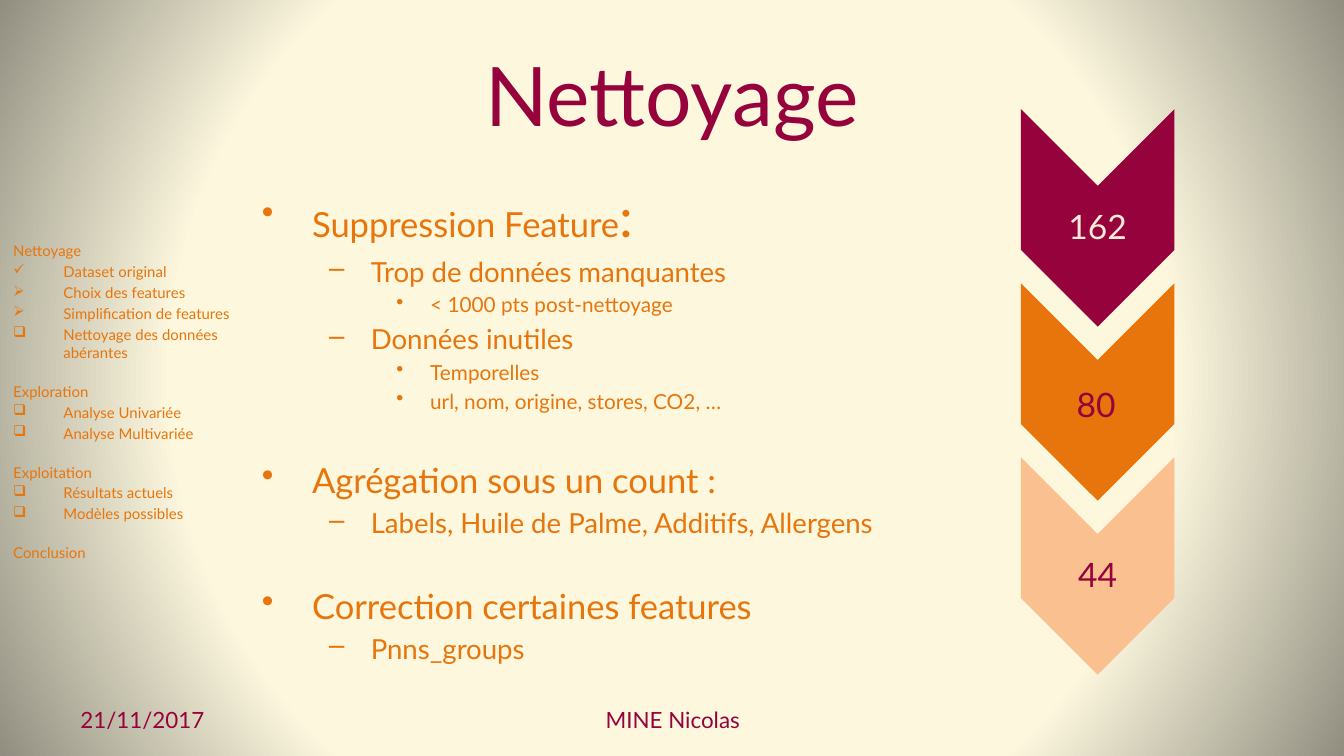
from lxml import etree
from pptx import Presentation
from pptx.dml.color import RGBColor
from pptx.enum.shapes import MSO_SHAPE as Kind
from pptx.enum.text import MSO_ANCHOR as Anchor, PP_ALIGN as Align
from pptx.oxml import parse_xml
from pptx.oxml.ns import qn
from pptx.util import Cm, Pt

WINE = RGBColor(0x95, 0x02, 0x3C)
ORANGE = RGBColor(0xE8, 0x75, 0x0C)
PEACH = RGBColor(0xFA, 0xC0, 0x90)
CREAM = RGBColor(0xFD, 0xEA, 0xDA)
LIGHT = RGBColor(0xFC, 0xF7, 0xDD)
DARK = RGBColor(0x91, 0x8E, 0x81)
FONT = "Lato"

BODY = [
    (0, "Suppression Feature"),
    (1, "Trop de données manquantes"),
    (2, "< 1000 pts post-nettoyage"),
    (1, "Données inutiles"),
    (2, "Temporelles"),
    (2, "url, nom, origine, stores, CO2, …"),
    (0, "Agrégation sous un count :"),
    (1, "Labels, Huile de Palme, Additifs, Allergens"),
    (0, "Correction certaines features"),
    (1, "Pnns_groups"),
]
LEVELS = [("•", 18.5, 0.95, 0.95), ("–", 14.8, 2.06, 0.79), ("•", 11.1, 3.18, 0.64)]
PLAN = [
    ("Nettoyage", [
        ("✓", "Dataset original"),
        ("➢", "Choix des features"),
        ("➢", "Simplification de features"),
        ("❑", "Nettoyage des données abérantes"),
    ]),
    ("Exploration", [("❑", "Analyse Univariée"), ("❑", "Analyse Multivariée")]),
    ("Exploitation", [("❑", "Résultats actuels"), ("❑", "Modèles possibles")]),
    ("Conclusion", []),
]
STEPS = [
    ("162", WINE, CREAM, 19.74, 3.76),
    ("80", ORANGE, WINE, 19.71, 7.14),
    ("44", PEACH, WINE, 19.74, 10.34),
]
LABELS = [
    ("Nettoyage", 44, Align.CENTER, (1.27, 0.58, 22.86, 2.39)),
    ("21/11/2017", 12, Align.LEFT, (1.27, 13.23, 5.92, 0.76)),
    ("MINE Nicolas", 12, Align.CENTER, (8.69, 13.23, 8.05, 0.76)),
]


def style(run, size, color):
    run.font.name = FONT
    run.font.size = Pt(size)
    run.font.color.rgb = color


def add_box(slide, area, anchor=Anchor.TOP):
    frame = slide.shapes.add_textbox(*map(Cm, area)).text_frame
    frame.word_wrap = True
    frame.vertical_anchor = anchor
    return frame


def add_label(slide, text, size, color, align, area, anchor=Anchor.MIDDLE):
    para = add_box(slide, area, anchor).paragraphs[0]
    para.text = text
    para.alignment = align
    style(para.runs[0], size, color)


def add_line(frame, text, size, gap=0, mark=None, left=0, hang=0):
    first = not frame.text
    para = frame.paragraphs[0] if first else frame.add_paragraph()
    para.text = text
    para.space_before = Pt(0 if first else round(0.2 * size + gap, 1))
    style(para.runs[0], size, ORANGE)
    if mark:
        props = para._p.get_or_add_pPr()
        props.set("marL", str(Cm(left)))
        props.set("indent", str(-Cm(hang)))
        etree.SubElement(props, qn("a:buChar")).set("char", mark)
    return para


def paint_back(slide):
    fill = slide.background.fill
    fill.gradient()
    old = slide._element.find(".//" + qn("a:gradFill"))
    new = parse_xml(
        '<a:gradFill xmlns:a="http://schemas.openxmlformats.org/drawingml/2006/main" rotWithShape="1">'
        f'<a:gsLst><a:gs pos="65000"><a:srgbClr val="{LIGHT}"/></a:gs>'
        f'<a:gs pos="100000"><a:srgbClr val="{DARK}"/></a:gs></a:gsLst>'
        '<a:path path="circle"><a:fillToRect l="50000" t="50000" r="50000" b="50000"/></a:path>'
        '</a:gradFill>')
    old.getparent().replace(old, new)


def add_body(slide):
    frame = add_box(slide, (4.7, 3.33, 20.6, 9.42))
    for level, text in BODY:
        mark, size, left, hang = LEVELS[level]
        gap = 20.7 if level == 0 else 0
        add_line(frame, text, size, gap, mark, left, hang)
    colon = frame.paragraphs[0].add_run()
    colon.text = ":"
    style(colon, 29.6, ORANGE)


def add_plan(slide):
    frame = add_box(slide, (0, 4.45, 4.9, 5.69))
    for head, items in PLAN:
        add_line(frame, head, 8, 9.8)
        for mark, text in items:
            add_line(frame, text, 8, 0, mark, 0.95, 0.95)


def add_steps(slide):
    for i, (text, fill, color, left, top) in enumerate(STEPS):
        arrow = slide.shapes.add_shape(
            Kind.CHEVRON, Cm(18.69), Cm(2.67 + 3.29 * i), Cm(4.11), Cm(2.9))
        arrow.rotation = 90
        arrow.shadow.inherit = False
        arrow.fill.solid()
        arrow.fill.fore_color.rgb = fill
        arrow.line.fill.background()
        add_label(slide, text, 18, color, Align.CENTER, (left, top, 2.01, 1.02), Anchor.TOP)


def main():
    deck = Presentation()
    deck.slide_width, deck.slide_height = Cm(25.4), Cm(14.29)
    slide = deck.slides.add_slide(deck.slide_layouts[6])
    paint_back(slide)
    for text, size, align, area in LABELS:
        add_label(slide, text, size, WINE, align, area)
    add_body(slide)
    add_plan(slide)
    add_steps(slide)
    deck.save("out.pptx")


if __name__ == "__main__":
    main()
